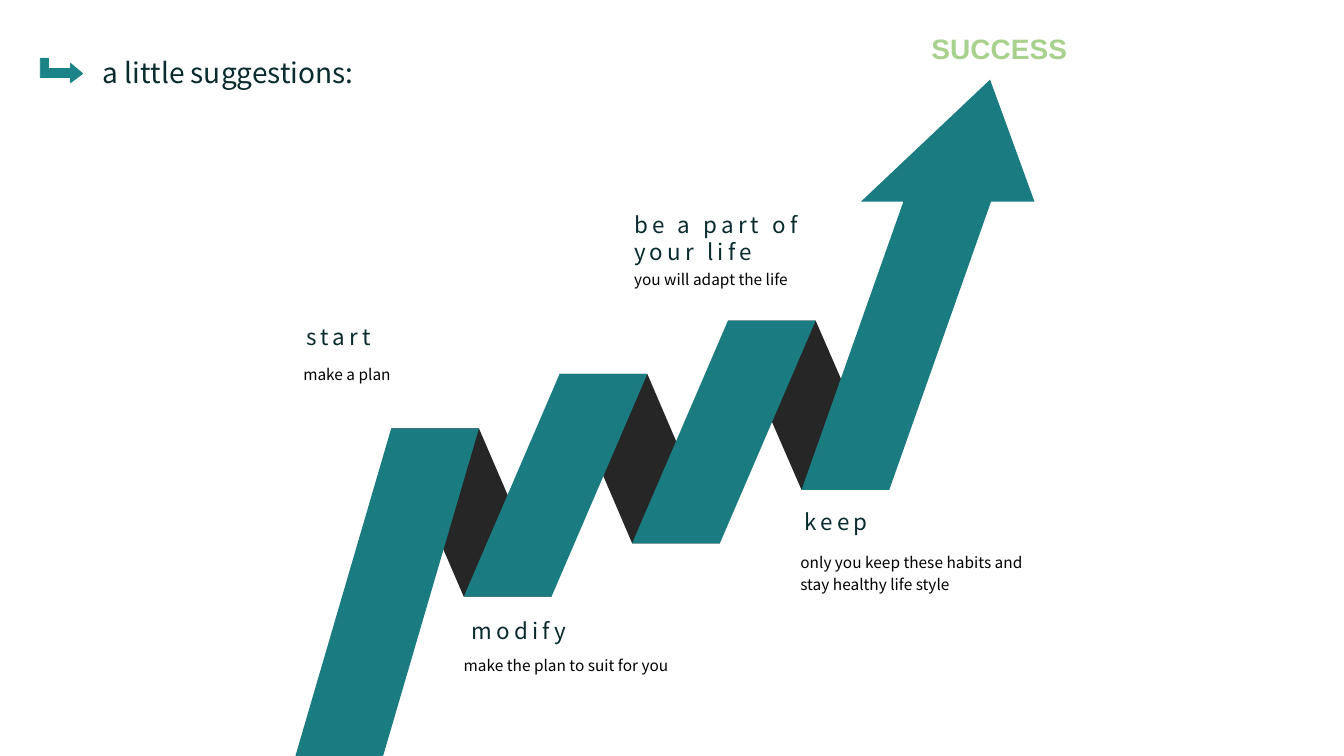
"""Builds a slide with a folded ribbon arrow rising through four habits to success."""
from dataclasses import dataclass

import pptx
import pptx.dml.color
import pptx.enum.text
import pptx.shapes.autoshape
import pptx.slide
import pptx.text.text
import pptx.util

Inches = pptx.util.Inches
RGBColor = pptx.dml.color.RGBColor
Point = tuple[float, float]

TEAL = RGBColor(0x1A, 0x7B, 0x80)
MARKER_TEAL = RGBColor(0x1C, 0x83, 0x88)
CHARCOAL = RGBColor(0x26, 0x26, 0x26)
DARK_TEAL = RGBColor(0x09, 0x2B, 0x2D)
BLACK = RGBColor(0x00, 0x00, 0x00)
LIGHT_GREEN = RGBColor(0xA9, 0xD1, 0x8E)
SANS = "Noto Sans CJK SC"

RIBBON_WIDTH = 0.87
FOLD_TOPS = [(3.88, 4.25), (5.55, 3.71), (7.22, 3.18)]
FOLD_BOTTOMS = [(2.93, 7.5), (4.6, 5.92), (6.27, 5.39), (7.95, 4.86)]
ARROW = [(10.26, 2), (9.82, 0.79), (8.54, 2), (8.96, 2), (7.95, 4.86), (8.82, 4.86), (9.83, 2)]
MARKER = [(0.4, 0.58), (0.48, 0.58), (0.48, 0.68), (0.7, 0.68), (0.7, 0.63),
          (0.82, 0.73), (0.7, 0.82), (0.7, 0.77), (0.4, 0.77)]


@dataclass(frozen=True)
class Box:
    left: float
    top: float
    width: float
    height: float


@dataclass(frozen=True)
class Step:
    heading: str
    heading_box: Box
    detail: str
    detail_box: Box


STEPS = [
    Step("start", Box(2.94, 3.16, 2.48, 0.37), "make a plan", Box(2.91, 3.54, 2.43, 0.32)),
    Step("modify", Box(4.58, 6.07, 2.4, 0.37),
         "make the plan to suit for you", Box(4.5, 6.42, 2.73, 0.32)),
    Step("be a part of your life", Box(6.19, 2.05, 2.48, 0.64),
         "you will adapt the life", Box(6.19, 2.59, 2.48, 0.32)),
    Step("keep", Box(7.88, 4.99, 2.48, 0.37),
         "only you keep these habits and stay healthy life style", Box(7.84, 5.4, 2.66, 0.54)),
]


def write_text(frame: pptx.text.text.TextFrame, text: str, *, size: float, color: RGBColor,
               font: str = SANS, bold: bool = False, tracking: float = 0,
               line_spacing: float = 1.0, wrap: bool = True) -> None:
    frame.word_wrap = wrap
    frame.auto_size = pptx.enum.text.MSO_AUTO_SIZE.SHAPE_TO_FIT_TEXT
    frame.vertical_anchor = pptx.enum.text.MSO_ANCHOR.TOP
    paragraph = frame.paragraphs[0]
    paragraph.alignment = pptx.enum.text.PP_ALIGN.LEFT
    paragraph.line_spacing = line_spacing
    run = paragraph.add_run()
    run.text = text
    run.font.name = font
    run.font.size = pptx.util.Pt(size)
    run.font.bold = bold
    run.font.color.rgb = color
    if tracking:
        run._r.get_or_add_rPr().set("spc", str(round(tracking * 100)))


def add_text_frame(slide: pptx.slide.Slide, box: Box) -> pptx.text.text.TextFrame:
    return slide.shapes.add_textbox(
        Inches(box.left), Inches(box.top), Inches(box.width), Inches(box.height)).text_frame


def add_outline(slide: pptx.slide.Slide, points: list[Point],
                color: RGBColor) -> pptx.shapes.autoshape.Shape:
    corners = [(Inches(x), Inches(y)) for x, y in points]
    builder = slide.shapes.build_freeform(*corners[0])
    builder.add_line_segments(corners[1:], close=True)
    shape = builder.convert_to_shape()
    shape.shadow.inherit = False
    shape.fill.solid()
    shape.fill.fore_color.rgb = color
    shape.line.fill.background()
    return shape


def add_ribbon(slide: pptx.slide.Slide, top: Point, bottom: Point, color: RGBColor) -> None:
    (top_x, top_y), (bottom_x, bottom_y) = top, bottom
    add_outline(slide, [top, bottom, (bottom_x + RIBBON_WIDTH, bottom_y),
                        (top_x + RIBBON_WIDTH, top_y)], color)


def add_title(slide: pptx.slide.Slide) -> None:
    title = slide.shapes.title
    title.left, title.top = Inches(0.92), Inches(0.5)
    title.width, title.height = Inches(2.76), Inches(0.44)
    write_text(title.text_frame, "a little suggestions:", size=20, color=DARK_TEAL, wrap=False)


def main() -> None:
    presentation = pptx.Presentation()
    presentation.slide_width = Inches(13.33)
    presentation.slide_height = Inches(7.5)
    slide = presentation.slides.add_slide(presentation.slide_layouts.get_by_name("Title Only"))

    add_title(slide)
    marker = add_outline(slide, MARKER, MARKER_TEAL)
    marker.line.color.rgb = MARKER_TEAL
    marker.line.width = pptx.util.Pt(0.6)

    for top, bottom in zip(FOLD_TOPS, FOLD_BOTTOMS[1:]):
        add_ribbon(slide, top, bottom, CHARCOAL)
    for top, bottom in zip(FOLD_TOPS, FOLD_BOTTOMS):
        add_ribbon(slide, top, bottom, TEAL)
    add_outline(slide, ARROW, TEAL)

    for step in STEPS:
        write_text(add_text_frame(slide, step.heading_box), step.heading,
                   size=16, color=DARK_TEAL, tracking=3)
        write_text(add_text_frame(slide, step.detail_box), step.detail,
                   size=11, color=BLACK, line_spacing=1.2)
    write_text(add_text_frame(slide, Box(9.14, 0.26, 1.76, 0.44)), "SUCCESS",
               size=20, color=LIGHT_GREEN, font="Arial", bold=True)
    presentation.save("out.pptx")


if __name__ == "__main__":
    main()
